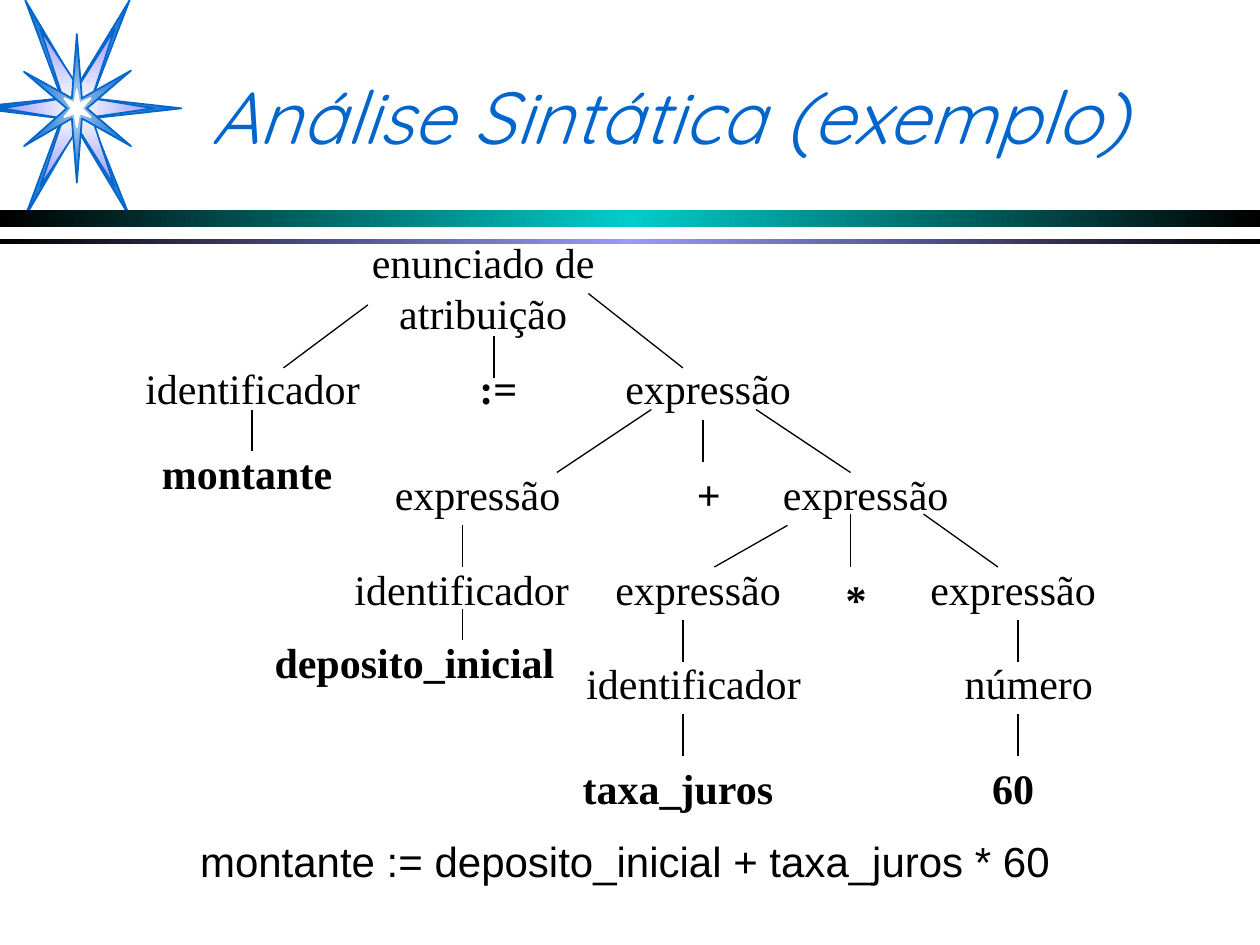
from typing import NamedTuple

from lxml import etree
from pptx import Presentation
from pptx.dml.color import RGBColor
from pptx.enum import shapes, text
from pptx.oxml.ns import qn
from pptx.util import Inches, Pt

BLUE = "0066CC"
BLACK = "000000"
WHITE = "FFFFFF"
SERIF = "Times New Roman"


class Star(NamedTuple):
    points: list
    stops: list
    line: str


class Bar(NamedTuple):
    top: float
    height: float
    middle: str


class Node(NamedTuple):
    label: str
    left: float
    top: float
    width: float
    bold: bool = False
    height: float = 0.5


class Edge(NamedTuple):
    x1: float
    y1: float
    x2: float
    y2: float


STARS = [
    Star([(0.49, 0.78), (0.2, 0), (0.61, 0.69), (1.03, 0), (0.73, 0.78),
          (1.44, 0.86), (0.72, 0.94), (1.03, 1.72), (0.61, 1.02),
          (0.2, 1.72), (0.49, 0.94), (0, 0.88), (0, 0.83)],
         ["7EB1E4", BLUE], BLUE),
    Star([(0.5, 0.78), (0.32, 0.23), (0.62, 0.69), (0.91, 0.23), (0.73, 0.78),
          (1.22, 0.86), (0.73, 0.93), (0.91, 1.48), (0.62, 1.02),
          (0.32, 1.48), (0.5, 0.94), (0.01, 0.86)],
         ["FEFEFE", "9999FF"], BLUE),
    Star([(0.19, 0.57), (0.57, 0.78), (0.61, 0.27), (0.65, 0.78),
          (1.04, 0.56), (0.69, 0.86), (1.04, 1.16), (0.65, 0.94),
          (0.61, 1.45), (0.57, 0.94), (0.19, 1.16), (0.53, 0.86)],
         ["98C1E9", BLUE], BLUE),
    Star([(0.51, 0.78), (0.59, 0.82), (0.61, 0.71), (0.63, 0.82),
          (0.72, 0.78), (0.65, 0.86), (0.72, 0.93), (0.63, 0.9),
          (0.61, 1.01), (0.59, 0.9), (0.51, 0.93), (0.57, 0.86)],
         [WHITE], WHITE),
]

BARS = [Bar(1.67, 0.13, "00CCCC"), Bar(1.9, 0.04, "9999FF")]

NODES = [
    Node("enunciado de atribuição", 2.25, 1.83, 3.17, height=0.9),
    Node("identificador", 0.92, 2.83, 2.17),
    Node(":=", 3.58, 2.83, 0.75, True),
    Node("expressão", 4.83, 2.83, 1.58),
    Node("montante", 0.92, 3.5, 2.08, True),
    Node("expressão", 3, 3.67, 1.58),
    Node("+", 5.25, 3.67, 0.75, True),
    Node("expressão", 6.08, 3.67, 1.58),
    Node("identificador", 2.58, 4.42, 2.17),
    Node("expressão", 4.75, 4.42, 1.58),
    Node("*", 6.42, 4.5, 0.75, True),
    Node("expressão", 7.25, 4.42, 1.58),
    Node("deposito_inicial", 1.83, 5, 2.92, True),
    Node("identificador", 4.42, 5.17, 2.17),
    Node("número", 7.08, 5.17, 2.17),
    Node("taxa_juros", 4.42, 6, 1.92, True),
    Node("60", 7.08, 6, 1.92, True),
]

EDGES = [
    Edge(2.92, 2.42, 2.25, 2.92),
    Edge(3.92, 2.67, 3.92, 3),
    Edge(4.67, 2.33, 5.42, 2.92),
    Edge(2, 3.25, 2, 3.58),
    Edge(5.17, 3.25, 4.42, 3.75),
    Edge(5.58, 3.33, 5.58, 3.67),
    Edge(6, 3.25, 6.75, 3.75),
    Edge(6.25, 4.17, 5.67, 4.5),
    Edge(6.75, 4.08, 6.75, 4.5),
    Edge(7.33, 4.08, 7.92, 4.5),
    Edge(3.67, 4.17, 3.67, 4.5),
    Edge(3.67, 4.83, 3.67, 5.08),
    *[Edge(x, y, x, y + 0.33) for x in (5.42, 8.08) for y in (4.92, 5.67)],
]


def paint(code: str) -> RGBColor:
    return RGBColor.from_string(code)


def blend(shape, stops: list, radial: bool) -> None:
    shape.fill.gradient()
    grad = shape._element.spPr.find(qn("a:gradFill"))
    for child in list(grad):
        grad.remove(child)
    group = etree.SubElement(grad, qn("a:gsLst"))
    for i, code in enumerate(stops):
        place = 100000 * i // (len(stops) - 1)
        stop = etree.SubElement(group, qn("a:gs"), pos=str(place))
        etree.SubElement(stop, qn("a:srgbClr"), val=code)
    if radial:
        way = etree.SubElement(grad, qn("a:path"), path="rect")
        etree.SubElement(way, qn("a:fillToRect"),
                         **{side: "50000" for side in "ltrb"})
    else:
        etree.SubElement(grad, qn("a:lin"), ang="0", scaled="0")


def draw_star(slide, star: Star) -> None:
    first, *rest = [(Inches(x), Inches(y)) for x, y in star.points]
    pen = slide.shapes.build_freeform(*first)
    pen.add_line_segments(rest, close=True)
    shape = pen.convert_to_shape()
    shape.shadow.inherit = False
    if len(star.stops) > 1:
        blend(shape, star.stops, True)
    else:
        shape.fill.solid()
        shape.fill.fore_color.rgb = paint(star.stops[0])
    shape.line.color.rgb = paint(star.line)
    shape.line.width = Pt(1)


def draw_bar(slide, bar: Bar) -> None:
    shape = slide.shapes.add_shape(
        shapes.MSO_SHAPE.RECTANGLE, 0, Inches(bar.top),
        Inches(10), Inches(bar.height))
    shape.shadow.inherit = False
    shape.line.fill.background()
    blend(shape, [BLACK, bar.middle, BLACK], False)


def draw_text(slide, node: Node, face: str = SERIF, size: float = 24,
              color: str = BLACK):
    box = slide.shapes.add_textbox(
        Inches(node.left), Inches(node.top),
        Inches(node.width), Inches(node.height))
    frame = box.text_frame
    frame.word_wrap = True
    line = frame.paragraphs[0]
    line.text = node.label
    line.alignment = text.PP_ALIGN.CENTER
    line.font.name = face
    line.font.size = Pt(size)
    line.font.bold = node.bold
    line.font.color.rgb = paint(color)
    return frame


def draw_title(slide) -> None:
    node = Node("Análise Sintática (exemplo)", 1.58, 0.25, 7.67, height=1.33)
    frame = draw_text(slide, node, "Quicksand", 42, BLUE)
    frame.vertical_anchor = text.MSO_ANCHOR.MIDDLE
    frame.paragraphs[0].alignment = text.PP_ALIGN.LEFT
    frame.paragraphs[0].font.italic = True


def draw_edge(slide, edge: Edge) -> None:
    link = slide.shapes.add_connector(
        shapes.MSO_CONNECTOR.STRAIGHT, *[Inches(end) for end in edge])
    link.line.color.rgb = paint(BLACK)
    link.line.width = Pt(0.75)
    etree.SubElement(link._element.spPr, qn("a:effectLst"))


def main() -> None:
    deck = Presentation()
    deck.slide_width, deck.slide_height = Inches(10), Inches(7.5)
    slide = deck.slides.add_slide(deck.slide_layouts[6])
    for star in STARS:
        draw_star(slide, star)
    for bar in BARS:
        draw_bar(slide, bar)
    draw_title(slide)
    for node in NODES:
        draw_text(slide, node)
    for edge in EDGES:
        draw_edge(slide, edge)
    draw_text(slide, Node("montante := deposito_inicial + taxa_juros * 60",
                          0.5, 6.58, 8.92), "Arial")
    deck.save("out.pptx")


if __name__ == "__main__":
    main()
